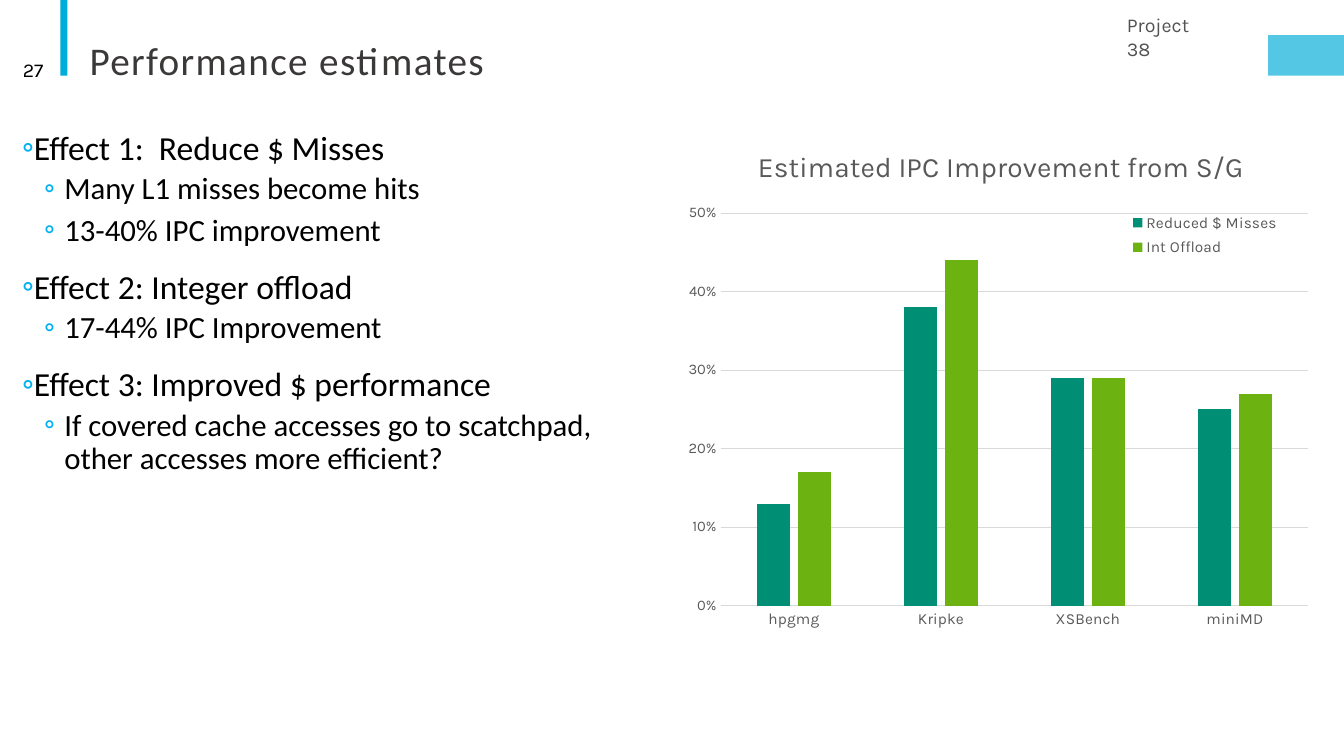
"""Builds the performance estimates slide with its bullet list and IPC chart."""
from dataclasses import dataclass

import lxml.etree
import pptx
import pptx.chart.data
import pptx.dml.color
import pptx.enum.chart
import pptx.enum.shapes
import pptx.enum.text
import pptx.oxml.ns
import pptx.util

Pt = pptx.util.Pt
qn = pptx.oxml.ns.qn
ANCHOR = pptx.enum.text.MSO_ANCHOR
ALIGN = pptx.enum.text.PP_ALIGN


@dataclass(frozen=True)
class Theme:
    text_font: str = "Calibri"
    label_font: str = "Karla"
    accent: str = "00ACD9"
    bullet: str = "00B0F0"
    black: str = "000000"
    heading: str = "3B3838"
    tag: str = "525253"
    label: str = "595959"
    grid: str = "D9D9D9"
    series: tuple = ("008E74", "6CB312")
    title_size: float = 28
    body_sizes: tuple = (24, 22)
    tag_size: float = 14
    chart_size: float = 10
    chart_title_size: float = 20
    chart_label_size: float = 11
    value_label_size: float = 10.5


def rgb(color):
    return pptx.dml.color.RGBColor.from_string(color)


def style_font(font, name, size, color):
    font.name = name
    font.size = Pt(size)
    font.bold = False
    font.color.rgb = rgb(color)


def set_layout(parent, index, **fractions):
    for old in parent.findall(qn("c:layout")):
        parent.remove(old)
    layout = lxml.etree.Element(qn("c:layout"))
    manual = lxml.etree.SubElement(layout, qn("c:manualLayout"))
    if parent.tag == qn("c:plotArea"):
        lxml.etree.SubElement(manual, qn("c:layoutTarget")).set("val", "inner")
    for key in ("x", "y"):
        lxml.etree.SubElement(manual, qn(f"c:{key}Mode")).set("val", "edge")
    for key, value in fractions.items():
        lxml.etree.SubElement(manual, qn(f"c:{key}")).set("val", str(value))
    parent.insert(index, layout)


class SlideBuilder:
    def __init__(self, s, theme):
        self.s = s
        self.theme = theme

    def block(self, box, alpha=None):
        sp = self.s.shapes.add_shape(pptx.enum.shapes.MSO_SHAPE.RECTANGLE, *map(Pt, box))
        sp.shadow.inherit = False
        sp.fill.solid()
        sp.fill.fore_color.rgb = rgb(self.theme.accent)
        sp.line.fill.background()
        if alpha:
            color = sp.fill._xPr.find(".//" + qn("a:srgbClr"))
            lxml.etree.SubElement(color, qn("a:alpha")).set("val", str(alpha * 1000))

    def frame(self, box, anchor=ANCHOR.TOP):
        tf = self.s.shapes.add_textbox(*map(Pt, box)).text_frame
        tf.word_wrap = True
        tf.vertical_anchor = anchor
        return tf

    def text(self, box, text, font, size, color, anchor=ANCHOR.TOP,
             align=ALIGN.LEFT, line_spacing=1.0, spacing=0):
        tf = self.frame(box, anchor)
        tf.text = text
        p = tf.paragraphs[0]
        p.alignment = align
        p.line_spacing = line_spacing
        r = p.runs[0]
        style_font(r.font, font, size, color)
        if spacing:
            r._r.get_or_add_rPr().set("spc", str(spacing))

    def bullets(self, box, items):
        t = self.theme
        tf = self.frame(box)
        tf.margin_left = tf.margin_right = 0
        for i, (level, text) in enumerate(items):
            p = tf.add_paragraph() if i else tf.paragraphs[0]
            p.text = text
            p.level = level
            p.line_spacing = 0.9
            p.space_before = Pt((12, 2)[level] if i else 0)
            p.space_after = Pt((2, 4)[level])
            pPr = p._p.get_or_add_pPr()
            pPr.set("marL", str(Pt((7.2, 30.2)[level])))
            pPr.set("indent", str(Pt((-7.2, -14.4)[level])))
            color = lxml.etree.SubElement(pPr, qn("a:buClr"))
            lxml.etree.SubElement(color, qn("a:srgbClr")).set("val", t.bullet)
            lxml.etree.SubElement(pPr, qn("a:buFont")).set("typeface", t.text_font)
            lxml.etree.SubElement(pPr, qn("a:buChar")).set("char", "◦")
            style_font(p.runs[0].font, t.text_font, t.body_sizes[level], t.black)

    def columns(self, box, title, categories, series):
        t = self.theme
        data = pptx.chart.data.CategoryChartData(number_format="0%")
        data.categories = categories
        for name, values in series:
            data.add_series(name, values)
        chart = self.s.shapes.add_chart(
            pptx.enum.chart.XL_CHART_TYPE.COLUMN_CLUSTERED, *map(Pt, box), data).chart
        style_font(chart.font, t.label_font, t.chart_size, t.black)

        chart.has_title = True
        tf = chart.chart_title.text_frame
        tf.text = title
        style_font(tf.paragraphs[0].runs[0].font, t.label_font, t.chart_title_size, t.label)
        set_layout(chart.chart_title._element, 1, x=0.12, y=0.03)

        plot = chart.plots[0]
        plot.gap_width = 219
        plot.overlap = -27
        plot.vary_by_categories = False
        for bar, color in zip(plot.series, t.series):
            bar.format.fill.solid()
            bar.format.fill.fore_color.rgb = rgb(color)
        set_layout(plot._element.getparent(), 0, x=0.07, y=0.16, w=0.91, h=0.72)

        self.axes(chart.category_axis, chart.value_axis)

        chart.has_legend = True
        chart.legend.position = pptx.enum.chart.XL_LEGEND_POSITION.BOTTOM
        chart.legend.include_in_layout = False
        style_font(chart.legend.font, t.label_font, t.chart_label_size, t.label)
        set_layout(chart.legend._element, 1, x=0.69, y=0.15, w=0.26, h=0.1)

    def axes(self, category, value):
        t = self.theme
        for axis, size in ((category, t.chart_label_size), (value, t.value_label_size)):
            axis.major_tick_mark = axis.minor_tick_mark = pptx.enum.chart.XL_TICK_MARK.NONE
            style_font(axis.tick_labels.font, t.label_font, size, t.label)
        value.minimum_scale, value.maximum_scale, value.major_unit = 0, 0.5, 0.1
        value.tick_labels.number_format = "0%"
        value.tick_labels.number_format_is_linked = False
        value.format.line.fill.background()
        value.has_major_gridlines = True
        for line in (category.format.line, value.major_gridlines.format.line):
            line.color.rgb = rgb(t.grid)
            line.width = Pt(0.75)


def main():
    prs = pptx.Presentation()
    prs.slide_width, prs.slide_height = Pt(960), Pt(540)
    t = Theme()
    page = SlideBuilder(prs.slides.add_slide(prs.slide_layouts[6]), t)
    page.block((43.2, 0, 5, 54))
    page.block((905.8, 25.2, 54.2, 28.8), alpha=67)
    page.text((797.8, 5.8, 72.7, 24.5), "Project 38", t.label_font, t.tag_size, t.tag)
    page.text((56.9, 18.7, 792, 44.6), "Performance estimates", t.text_font, t.title_size,
              t.heading, ANCHOR.BOTTOM, line_spacing=0.85, spacing=100)
    page.text((5, 35.3, 33.1, 28.8), "27", t.label_font, t.tag_size, t.black,
              ANCHOR.MIDDLE, ALIGN.RIGHT)
    page.bullets((15.8, 90, 446.4, 389.5), (
        (0, "Effect 1:  Reduce $ Misses"),
        (1, "Many L1 misses become hits"),
        (1, "13-40% IPC improvement"),
        (0, "Effect 2: Integer offload"),
        (1, "17-44% IPC Improvement"),
        (0, "Effect 3: Improved $ performance"),
        (1, "If covered cache accesses go to scatchpad, other accesses more efficient?"),
    ))
    page.columns((482.4, 90, 461.5, 389.5), "Estimated IPC Improvement from S/G",
                 ("hpgmg", "Kripke", "XSBench", "miniMD"),
                 (("Reduced $ Misses", (0.13, 0.38, 0.29, 0.25)),
                  ("Int Offload", (0.17, 0.44, 0.29, 0.27))))
    prs.save("out.pptx")


if __name__ == "__main__":
    main()
